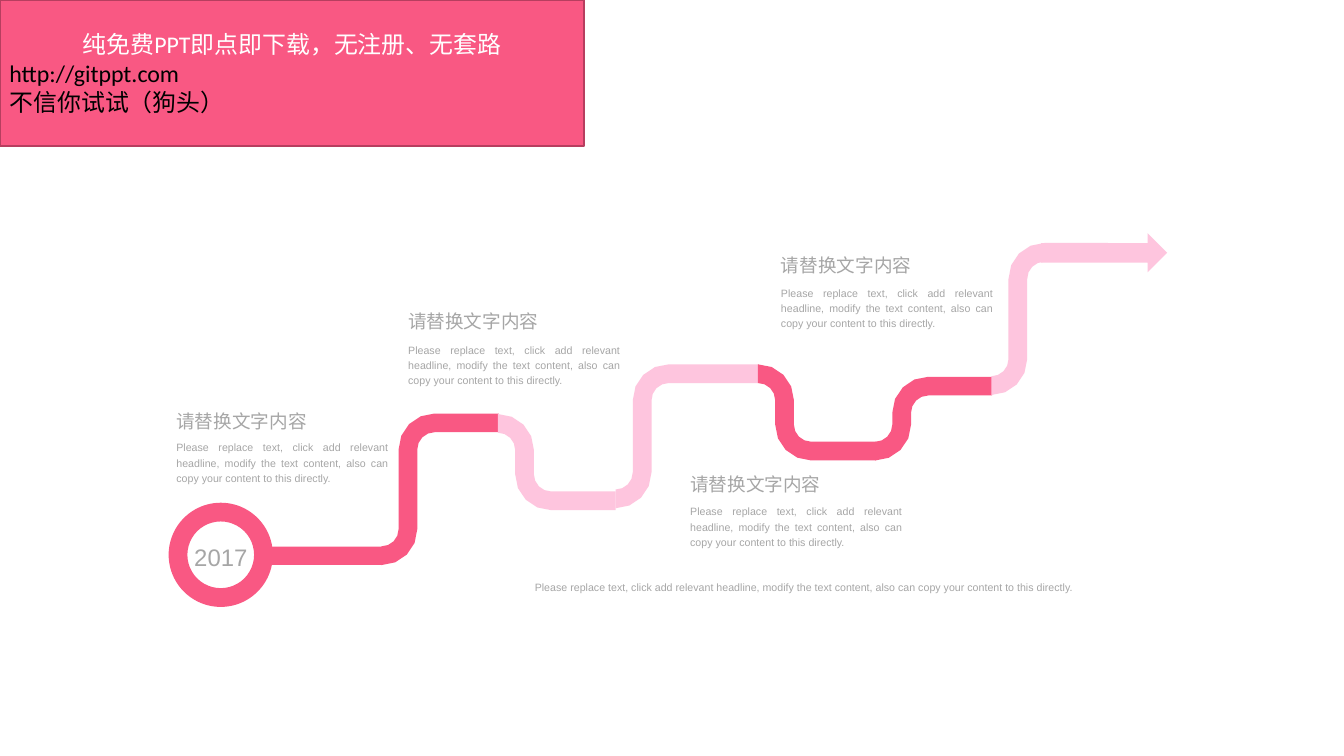
"""Build a winding timeline slide with a banner and four captioned stages."""
import dataclasses
import math

import pptx
import pptx.dml.color
import pptx.enum.shapes
import pptx.enum.text
import pptx.util

SHAPE = pptx.enum.shapes.MSO_SHAPE
ALIGN = pptx.enum.text.PP_ALIGN
ANCHOR = pptx.enum.text.MSO_ANCHOR
CELL = pptx.util.Inches(0.1)
COLUMNS, ROWS = 140.6, 79.1
BEND_RADIUS = 2.78
HALF_WIDTH = 0.98
BEND_STEPS = 4
HEADING = "请替换文字内容"
DETAIL = ("Please replace text, click add relevant headline, modify the text "
          "content, also can copy your content to this directly.")


@dataclasses.dataclass(frozen=True)
class Theme:
    """Colours, typefaces and type sizes of the slide."""
    strong: str = "F95883"
    soft: str = "FEC5DE"
    border: str = "B73E5F"
    text: str = "A6A6A6"
    banner_title: str = "FFFFFF"
    banner_text: str = "000000"
    font: str = "Arial"
    banner_font: str = "Calibri"
    large_size: int = 18
    heading_size: int = 14
    detail_size: int = 8


THEME = Theme()
BENDS = [
    (64.4, 52.2, 39.1, 79.4, THEME.soft),
    (91.55, 47.2, 40.4, 103.8, THEME.strong),
    (79.3, 39.1, 47.2, 91.6, THEME.strong),
    (39.9, 58.15, 44.25, 52.2, THEME.strong),
    (52.1, 44.3, 52.4, 64.4, THEME.soft),
    (103.7, 40.35, 26.4, 115.9, THEME.soft),
]
CAPTIONS = [
    (42.7, 32.0, 35.7, 18.3),
    (72.2, 49.0, 52.6, 19.1),
    (81.7, 26.1, 29.7, 19.7),
    (18.45, 42.4, 45.9, 17.5),
]
BANNER_LINES = [
    ("纯免费PPT即点即下载，无注册、无套路", THEME.banner_title, ALIGN.CENTER),
    ("http://gitppt.com", THEME.banner_text, ALIGN.LEFT),
    ("不信你试试（狗头）", THEME.banner_text, ALIGN.LEFT),
]


def cells(*counts):
    """Convert grid counts to whole slide units."""
    return [pptx.util.Emu(round(count * CELL)) for count in counts]


def rgb(colour):
    """Read a colour of the theme."""
    return pptx.dml.color.RGBColor.from_string(colour)


def paint(shape, colour):
    """Give a shape a flat fill without outline or shadow."""
    shape.shadow.inherit = False
    shape.fill.solid()
    shape.fill.fore_color.rgb = rgb(colour)
    shape.line.fill.background()


def add_part(shapes, preset, area, colour, adjustments=()):
    """Add one flat preset part."""
    part = shapes.add_shape(preset, *cells(*area))
    for index, value in enumerate(adjustments):
        part.adjustments[index] = value
    paint(part, colour)
    return part


def bend_edge(start, level, next_level, end, offset):
    """Trace one edge of a bend at an offset from its centre line."""
    turn = math.copysign(1, next_level - level)
    outer, inner = BEND_RADIUS + offset, BEND_RADIUS - offset
    angles = [math.pi / 2 * step / BEND_STEPS for step in range(BEND_STEPS + 1)]
    leaving = [(start + outer * math.sin(angle),
                level + turn * (BEND_RADIUS - outer * math.cos(angle)))
               for angle in angles]
    arriving = [(start + 2 * BEND_RADIUS - inner * math.cos(angle),
                 next_level - turn * (BEND_RADIUS - inner * math.sin(angle)))
                for angle in angles]
    return leaving + arriving + [(end, next_level - turn * offset)]


def add_bend(shapes, start, level, next_level, end, colour):
    """Add a rounded step that links two levels of the route."""
    route = (start, level, next_level, end)
    outline = (bend_edge(*route, HALF_WIDTH)
               + bend_edge(*route, -HALF_WIDTH)[::-1])
    corners = [cells(*point) for point in outline]
    builder = shapes.build_freeform(*corners[0])
    builder.add_line_segments(corners[1:], close=True)
    paint(builder.convert_to_shape(), colour)


def add_words(paragraph, wording, font, size, colour, align):
    """Put one styled run in a paragraph."""
    paragraph.alignment = align
    run = paragraph.add_run()
    run.text = wording
    run.font.name = font
    run.font.size = pptx.util.Pt(size)
    run.font.color.rgb = rgb(colour)


def add_text(shapes, area, wording, size, align, anchor=ANCHOR.TOP):
    """Add a text box without margins."""
    frame = shapes.add_textbox(*cells(*area)).text_frame
    frame.word_wrap = True
    frame.auto_size = pptx.enum.text.MSO_AUTO_SIZE.SHAPE_TO_FIT_TEXT
    frame.vertical_anchor = anchor
    frame.margin_left = frame.margin_right = 0
    frame.margin_top = frame.margin_bottom = 0
    paragraph = frame.paragraphs[0]
    paragraph.line_spacing = 1.2
    add_words(paragraph, wording, THEME.font, size, THEME.text, align)


def add_caption(shapes, left, heading_top, detail_top, heading_width):
    """Add a grouped heading and detail for one stage."""
    caption = shapes.add_group_shape().shapes
    add_text(caption, (left, heading_top, heading_width, 2.8), HEADING,
             THEME.heading_size, ALIGN.LEFT)
    add_text(caption, (left, detail_top, 22.2, 4.8), DETAIL,
             THEME.detail_size, ALIGN.JUSTIFY, ANCHOR.MIDDLE)


def add_banner(shapes):
    """Add the outlined banner in the top left corner."""
    banner = add_part(shapes, SHAPE.RECTANGLE, (0, 0, 61.1, 15.3), THEME.strong)
    banner.line.color.rgb = rgb(THEME.border)
    banner.line.width = pptx.util.Pt(1)
    frame = banner.text_frame
    frame.word_wrap = True
    frame.vertical_anchor = ANCHOR.MIDDLE
    for index, (wording, colour, align) in enumerate(BANNER_LINES):
        paragraph = frame.add_paragraph() if index else frame.paragraphs[0]
        add_words(paragraph, wording, THEME.banner_font, THEME.large_size,
                  colour, align)


def main():
    """Build and save the slide."""
    deck = pptx.Presentation()
    deck.slide_width, deck.slide_height = cells(COLUMNS, ROWS)
    shapes = deck.slides.add_slide(deck.slide_layouts[6]).shapes
    for bend in BENDS:
        add_bend(shapes, *bend)
    add_part(shapes, SHAPE.DONUT, (17.64, 52.6, 10.9, 10.9), THEME.strong, [0.18])
    add_text(shapes, (18.55, 56.15, 9.1, 3.6), "2017", THEME.large_size, ALIGN.CENTER)
    add_part(shapes, SHAPE.RECTANGLE, (28.4, 57.2, 11.55, 1.9), THEME.strong)
    add_part(shapes, SHAPE.RIGHT_ARROW, (108.9, 24.4, 13.2, 4.1), THEME.soft, [0.5, 0.5])
    add_text(shapes, (55.95, 60.55, 67.6, 1.6), DETAIL, THEME.detail_size, ALIGN.JUSTIFY)
    for caption in CAPTIONS:
        add_caption(shapes, *caption)
    add_banner(shapes)
    deck.save("out.pptx")


if __name__ == "__main__":
    main()
